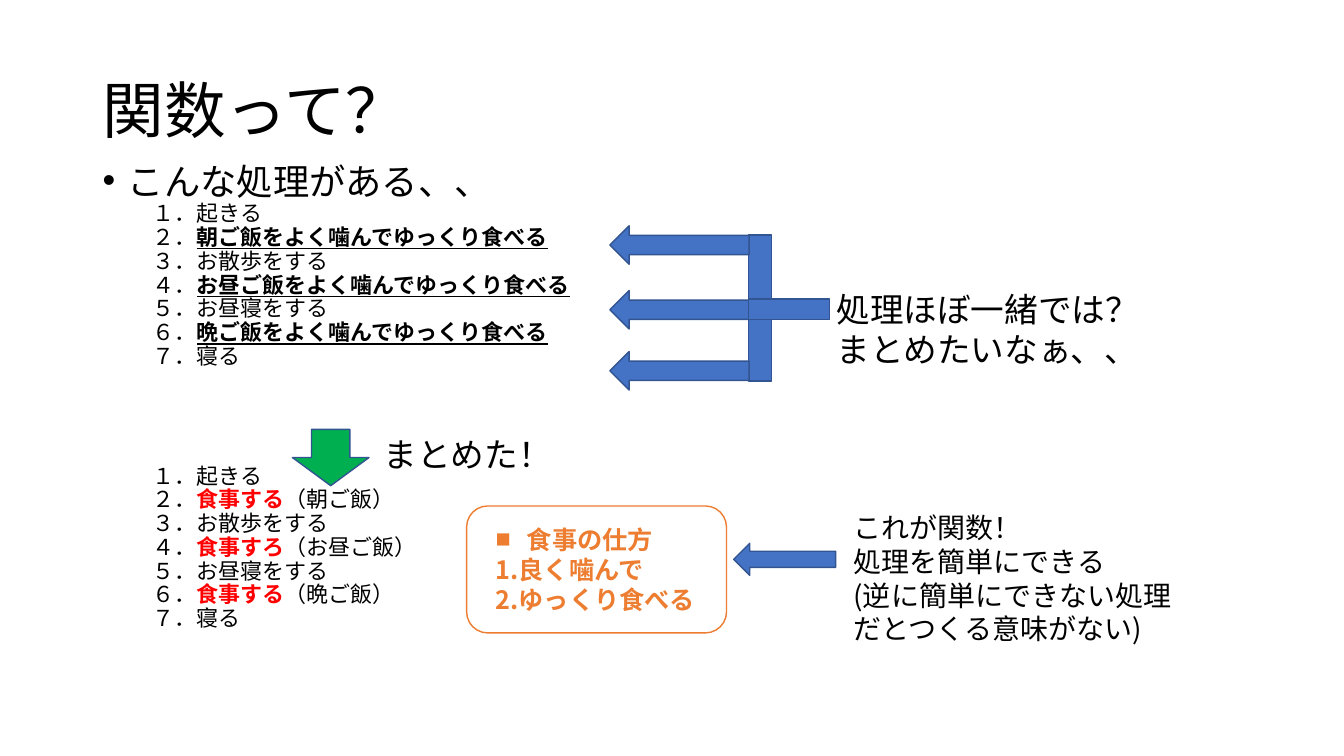
from lxml import etree
from pptx import Presentation
from pptx.dml.color import RGBColor
from pptx.enum.shapes import MSO_SHAPE
from pptx.enum.text import MSO_ANCHOR, MSO_AUTO_SIZE, PP_ALIGN
from pptx.oxml.ns import qn
from pptx.util import Cm, Pt

FONT = "Noto Sans CJK JP"
BLACK = RGBColor(0x00, 0x00, 0x00)
WHITE = RGBColor(0xFF, 0xFF, 0xFF)
BLUE = RGBColor(0x44, 0x72, 0xC4)
NAVY = RGBColor(0x32, 0x54, 0x91)
GREEN = RGBColor(0x00, 0xB0, 0x50)
ORANGE = RGBColor(0xED, 0x7D, 0x31)
RED = RGBColor(0xFF, 0x00, 0x00)
RECT, ROUND = MSO_SHAPE.RECTANGLE, MSO_SHAPE.ROUNDED_RECTANGLE
LEFT, DOWN = MSO_SHAPE.LEFT_ARROW, MSO_SHAPE.DOWN_ARROW
START, MIDDLE, TOP = PP_ALIGN.LEFT, MSO_ANCHOR.MIDDLE, MSO_ANCHOR.TOP
FIXED = MSO_AUTO_SIZE.NONE

DAY = [("１．", "起きる", ""), ("２．", "朝ご飯", "をよく噛んでゆっくり食べる"),
       ("３．", "お散歩をする", ""), ("４．", "お昼ご飯", "をよく噛んでゆっくり食べる"),
       ("５．", "お昼寝をする", ""), ("６．", "晩ご飯", "をよく噛んでゆっくり食べる"),
       ("７．", "寝る", "")]
CALLS = {"朝ご飯": "食事する", "お昼ご飯": "食事すろ", "晩ご飯": "食事する"}


def add_run(para, text, size, color=BLACK, bold=False, line=False):
    """Add one styled run to a paragraph."""
    run = para.add_run()
    run.text = text
    font = run.font
    font.size, font.bold, font.underline = Pt(size), bold, line
    font.name, font.color.rgb = FONT, color
    etree.SubElement(font._element, qn("a:ea")).set("typeface", FONT)


def set_mark(para, mark, left=0, hang=0):
    """Set the indent and the bullet, or no bullet, of a paragraph."""
    props = para._p.get_or_add_pPr()
    props.set("marL", str(Cm(left)))
    props.set("indent", str(-Cm(hang)))
    if mark:
        etree.SubElement(props, qn("a:buFont")).set("typeface", "Arial")
        etree.SubElement(props, qn("a:buChar")).set("char", mark)
    else:
        etree.SubElement(props, qn("a:buNone"))


def next_para(frame):
    """Return the empty first paragraph or a new one."""
    first = frame.paragraphs[0]
    return frame.add_paragraph() if first.runs else first


def place(item, left, top, width, height):
    """Move and size a shape in centimetres."""
    item.left, item.top = Cm(left), Cm(top)
    item.width, item.height = Cm(width), Cm(height)


def add_form(slide, kind, box, fill=BLUE, edge=NAVY):
    """Add a filled and outlined preset shape."""
    form = slide.shapes.add_shape(kind, *(Cm(n) for n in box))
    form.shadow.inherit = False
    form.fill.solid()
    form.fill.fore_color.rgb = fill
    form.line.color.rgb = edge
    form.line.width = Pt(1)


def add_text(slide, box, lines, size, color=BLACK, bold=False):
    """Add a wrapped text box and return its frame."""
    frame = slide.shapes.add_textbox(*(Cm(n) for n in box)).text_frame
    frame.word_wrap = True
    for line in lines:
        add_run(next_para(frame), line, size, color, bold)
    return frame


def add_title(slide, left, top, width, height):
    """Fill the title placeholder."""
    title = slide.shapes.title
    place(title, left, top, width, height)
    frame = title.text_frame
    frame.auto_size, frame.vertical_anchor = FIXED, MIDDLE
    para = frame.paragraphs[0]
    para.alignment, para.line_spacing = START, 0.9
    add_run(para, "関数って？", 44)


def add_step(frame, number, gap):
    """Start one numbered step of the day."""
    para = next_para(frame)
    para.level = 1
    set_mark(para, None, 1.27)
    para.line_spacing, para.space_before = 0.8, Pt(gap)
    add_run(para, number, 15.7)
    return para


def add_days(slide, left, top, width, height):
    """Fill the body with the day before and after the change."""
    body = slide.placeholders[1]
    place(body, left, top, width, height)
    frame = body.text_frame
    frame.auto_size, frame.vertical_anchor = FIXED, TOP
    head = frame.paragraphs[0]
    set_mark(head, "•", 0.64, 0.64)
    head.line_spacing, head.space_before = 0.8, Pt(0)
    add_run(head, "こんな処理がある、、", 25.9)
    for number, what, how in DAY:
        para = add_step(frame, number, 1.9)
        add_run(para, what + how, 15.7, bold=bool(how), line=bool(how))
    for row, (number, what, how) in enumerate(DAY):
        para = add_step(frame, number, 1.9 if row else 70.4)
        if how:
            add_run(para, CALLS[what], 15.7, RED, True)
            add_run(para, f"（{what}）", 15.7)
        else:
            add_run(para, what, 15.7)


def add_fork(slide, left, top, width, height):
    """Draw the three-way arrow and its question."""
    stem = left + 3.5
    add_form(slide, RECT, (stem, top + 0.23, 0.58, height - 0.46))
    for drop in (0, 1.63, 3.17):
        add_form(slide, LEFT, (left, top + drop, 3.51, 0.97))
    add_form(slide, RECT, (stem, top + 1.85, 2.03, 0.51))
    text = left + 5.46
    add_text(slide, (text, top + 1.47, left + width - text, 2.31),
             ["処理ほぼ一緒では？", "まとめたいなぁ、、"], 24)


def add_turn(slide, left, top, width, height):
    """Draw the down arrow and its label."""
    add_form(slide, DOWN, (left, top, 1.93, height), GREEN)
    add_text(slide, (left + 2.05, top, width - 2.05, 1.27), ["まとめた！"], 24)


def add_meal(slide, left, top, width, height):
    """Draw the card that holds the shared steps."""
    add_form(slide, ROUND, (left, top, width, height), WHITE, ORANGE)
    frame = add_text(slide, (left + 0.48, top + 0.33, width - 0.3, 2.57),
                     ["食事の仕方", "1.良く噛んで", "2.ゆっくり食べる"],
                     18, ORANGE, True)
    set_mark(frame.paragraphs[0], "■", 0.79, 0.79)


def add_note(slide, left, top, width, height):
    """Draw the arrow to the card and the remark."""
    add_form(slide, LEFT, (left, top + 0.94, 2.57, 0.81))
    add_text(slide, (left + 2.77, top, width - 2.77, height),
             ["これが関数！", "処理を簡単にできる",
              "(逆に簡単にできない処理だとつくる意味がない)"], 20)


def main():
    """Build and save the slide."""
    deck = Presentation()
    deck.slide_width, deck.slide_height = Cm(33.87), Cm(19.05)
    slide = deck.slides.add_slide(deck.slide_layouts[1])
    add_title(slide, 2.33, 1.02, 29.21, 3.68)
    add_days(slide, 2.33, 4.09, 29.21, 14.2)
    add_fork(slide, 15.37, 5.69, 13.99, 4.14)
    add_turn(slide, 7.37, 10.82, 6.95, 1.42)
    add_meal(slide, 11.76, 12.75, 6.55, 3.2)
    add_note(slide, 18.49, 12.75, 11.76, 3.68)
    deck.save("out.pptx")


if __name__ == "__main__":
    main()
